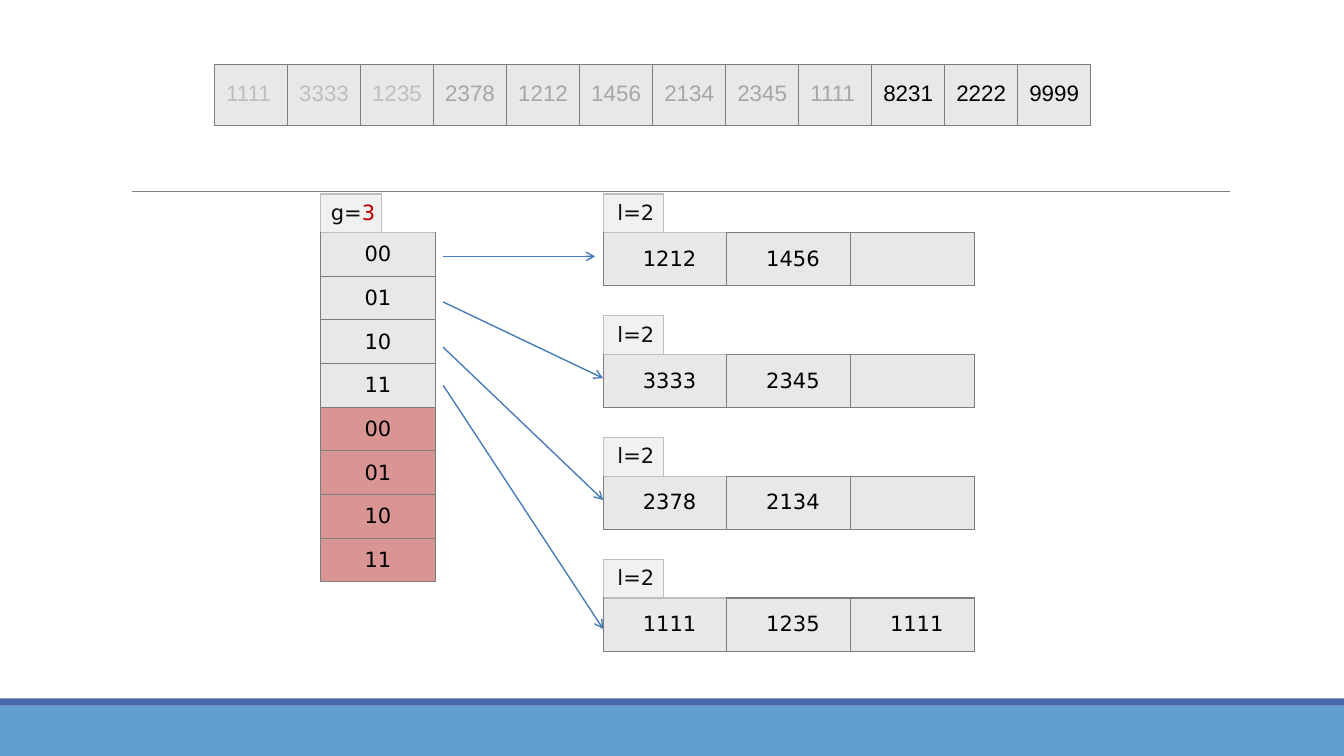
from dataclasses import dataclass

import pptx
import pptx.dml.color
import pptx.enum.shapes
import pptx.enum.text
import pptx.oxml
import pptx.oxml.ns
import pptx.util

Cm = pptx.util.Cm
Pt = pptx.util.Pt
ALIGN = pptx.enum.text.PP_ALIGN


@dataclass(frozen=True)
class Theme:
    band: str = "629DD1"
    strip: str = "4A66AC"
    rule: str = "7F7F7F"
    arrow: str = "497DBA"
    border: str = "7E7E7E"
    light_border: str = "BEBEBE"
    cell: str = "E8E8E8"
    tag: str = "F1F1F1"
    new_entry: str = "D99593"
    tag_text: str = "0D0D0D"
    text: str = "000000"
    accent: str = "C00000"
    done: str = "BEBEBE"
    recent: str = "A6A6A6"
    mono: str = "DejaVu Sans"
    sans: str = "Arial"
    body_size: float = 15
    array_size: float = 16


T = Theme()


def rgb(value):
    return pptx.dml.color.RGBColor.from_string(value)


def add_run(p, text, *, size=T.body_size, font=T.mono, color=T.text):
    r = p.add_run()
    r.text = text
    r.font.size = Pt(size)
    r.font.name = font
    r.font.color.rgb = rgb(color)


def add_bar(s, top, height, color):
    sp = s.shapes.add_shape(pptx.enum.shapes.MSO_SHAPE.RECTANGLE,
                            0, Cm(top), Cm(33.87), Cm(height))
    sp.shadow.inherit = False
    sp.fill.solid()
    sp.fill.fore_color.rgb = rgb(color)
    sp.line.fill.background()


def add_line(s, start, end, color, width, arrow=False):
    ends = [Cm(v) for v in (*start, *end)]
    cxn = s.shapes.add_connector(pptx.enum.shapes.MSO_CONNECTOR.STRAIGHT, *ends)
    cxn.line.color.rgb = rgb(color)
    cxn.line.width = Pt(width)
    if arrow:
        tail = pptx.oxml.parse_xml(
            f'<a:tailEnd {pptx.oxml.ns.nsdecls("a")} type="arrow"/>')
        cxn.line._get_or_add_ln().append(tail)
    cxn._element.spPr.append(
        pptx.oxml.parse_xml(f'<a:effectLst {pptx.oxml.ns.nsdecls("a")}/>'))


def add_grid(s, left, top, widths, heights):
    frame = s.shapes.add_table(len(heights), len(widths), Cm(left), Cm(top),
                               Cm(sum(widths)), Cm(sum(heights)))
    table = frame.table
    table.first_row = table.horz_banding = False
    for column, width in zip(table.columns, widths):
        column.width = Cm(width)
    for row, height in zip(table.rows, heights):
        row.height = Cm(height)
    return table


def format_cell(cell, fill=None, borders=(T.border,) * 4, top=0.0):
    tcPr = cell._tc.get_or_add_tcPr()
    for side, color in zip("LRTB", borders):
        paint = (f'<a:solidFill><a:srgbClr val="{color}"/></a:solidFill>'
                 if color else "<a:noFill/>")
        tcPr.append(pptx.oxml.parse_xml(
            f'<a:ln{side} {pptx.oxml.ns.nsdecls("a")} w="12700">{paint}</a:ln{side}>'))
    if fill:
        cell.fill.solid()
        cell.fill.fore_color.rgb = rgb(fill)
    else:
        cell.fill.background()
    cell.margin_left = cell.margin_right = cell.margin_bottom = 0
    cell.margin_top = Cm(top)


def write_cell(cell, text, indent=0.0, align=None, **style):
    p = cell.text_frame.paragraphs[0]
    if indent:
        p._p.get_or_add_pPr().set("marL", str(Cm(indent)))
    if align is not None:
        p.alignment = align
    add_run(p, text, **style)
    return p


def add_tagged_grid(s, left, top, widths, heights, tag, indent, fills, top_inset):
    table = add_grid(s, left, top, widths, heights)
    light = T.light_border
    format_cell(table.cell(0, 0), T.tag, (light,) * 4, 0.17)
    for c in range(1, len(widths)):
        first = c == 1
        format_cell(table.cell(0, c), None,
                    (light if first else None, None, None, light if first else T.border))
    for i, fill in enumerate(fills, 1):
        for c in range(len(widths)):
            upper = light if i == 1 and c < 2 else T.border
            format_cell(table.cell(i, c), fill,
                        (T.border, T.border, upper, T.border), top_inset)
        table.cell(i, 0).merge(table.cell(i, 1))
    if len(widths) > 2:
        table.cell(0, 1).merge(table.cell(0, len(widths) - 1))
    return table, write_cell(table.cell(0, 0), tag, indent, color=T.tag_text)


def add_bucket(s, top, values):
    table, _ = add_tagged_grid(s, 15.2, top, (1.53, 1.58, 3.12, 3.12), (0.97, 1.34),
                               "l=2", 0.36, [T.cell], 0.36)
    for c, value in zip((0, 2, 3), values):
        write_cell(table.cell(1, c), value, 1.0)


def add_directory(s, top):
    fills = [T.cell] * 4 + [T.new_entry] * 4
    table, p = add_tagged_grid(s, 8.08, top, (1.53, 1.36), [0.97] + [1.1] * 8,
                               "g=", 0.26, fills, 0.25)
    add_run(p, "3", color=T.accent)
    for i, key in enumerate(["00", "01", "10", "11"] * 2, 1):
        write_cell(table.cell(i, 0), key, align=ALIGN.CENTER)


def add_input_array(s):
    values = "1111 3333 1235 2378 1212 1456 2134 2345 1111 8231 2222 9999".split()
    colors = [T.done] * 3 + [T.recent] * 6 + [T.text] * 3
    table = add_grid(s, 5.4, 1.63, [1.84] * len(values), [1.53])
    for c, (value, color) in enumerate(zip(values, colors)):
        format_cell(table.cell(0, c), T.cell, top=0.41)
        write_cell(table.cell(0, c), value, 0.3, size=T.array_size,
                   font=T.sans, color=color)


def main():
    prs = pptx.Presentation()
    prs.slide_width, prs.slide_height = Cm(33.87), Cm(19.05)
    s = prs.slides.add_slide(prs.slide_layouts[6])

    add_bar(s, 17.78, 1.27, T.band)
    add_bar(s, 17.6, 0.18, T.strip)
    add_line(s, (3.33, 4.83), (31.0, 4.83), T.rule, 0.75)

    add_input_array(s)
    add_directory(s, 4.89)
    buckets = [("1212", "1456"), ("3333", "2345"), ("2378", "2134"),
               ("1111", "1235", "1111")]
    for i, values in enumerate(buckets):
        add_bucket(s, 4.89 + 3.07 * i, values)

    arrows = [(6.46, 15.0, 6.46), (7.61, 15.2, 9.53),
              (8.75, 15.2, 12.6), (9.71, 15.2, 15.85)]
    for start_y, end_x, end_y in arrows:
        add_line(s, (11.17, start_y), (end_x, end_y), T.arrow, 1, arrow=True)

    prs.save("out.pptx")


if __name__ == "__main__":
    main()
